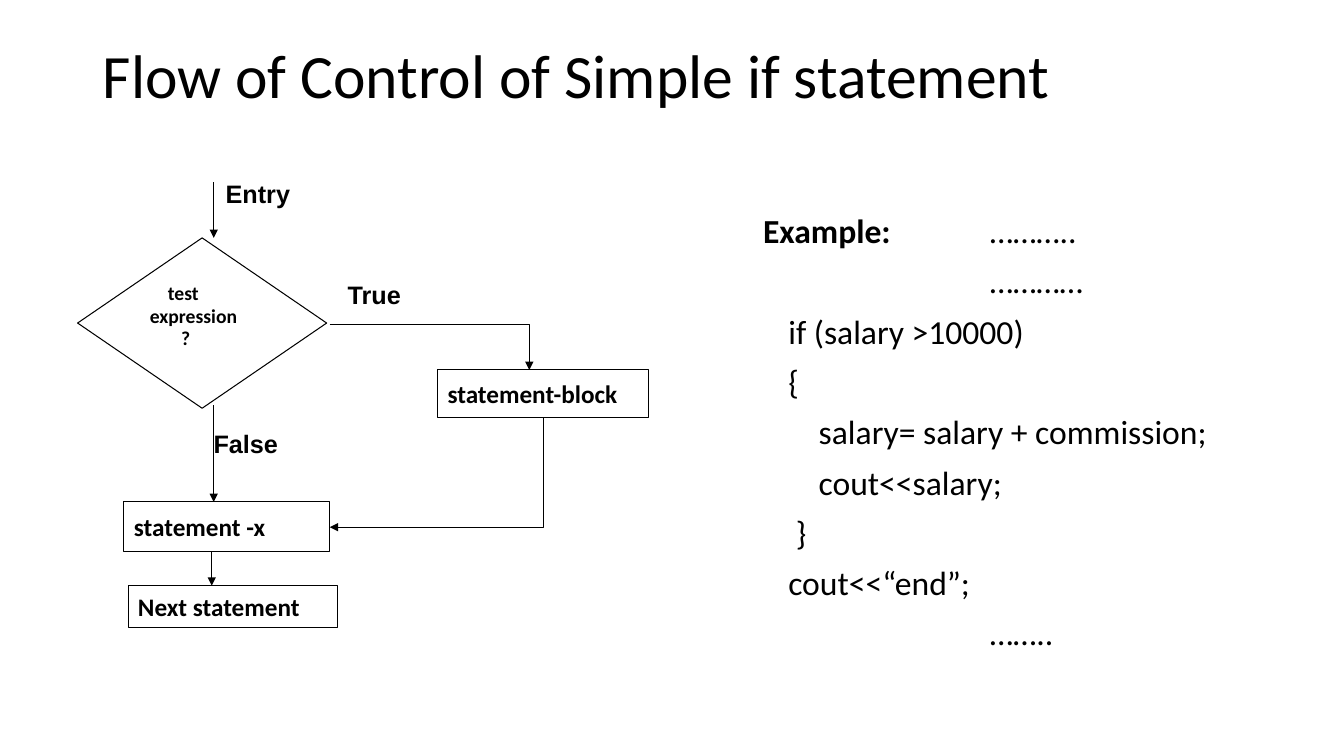
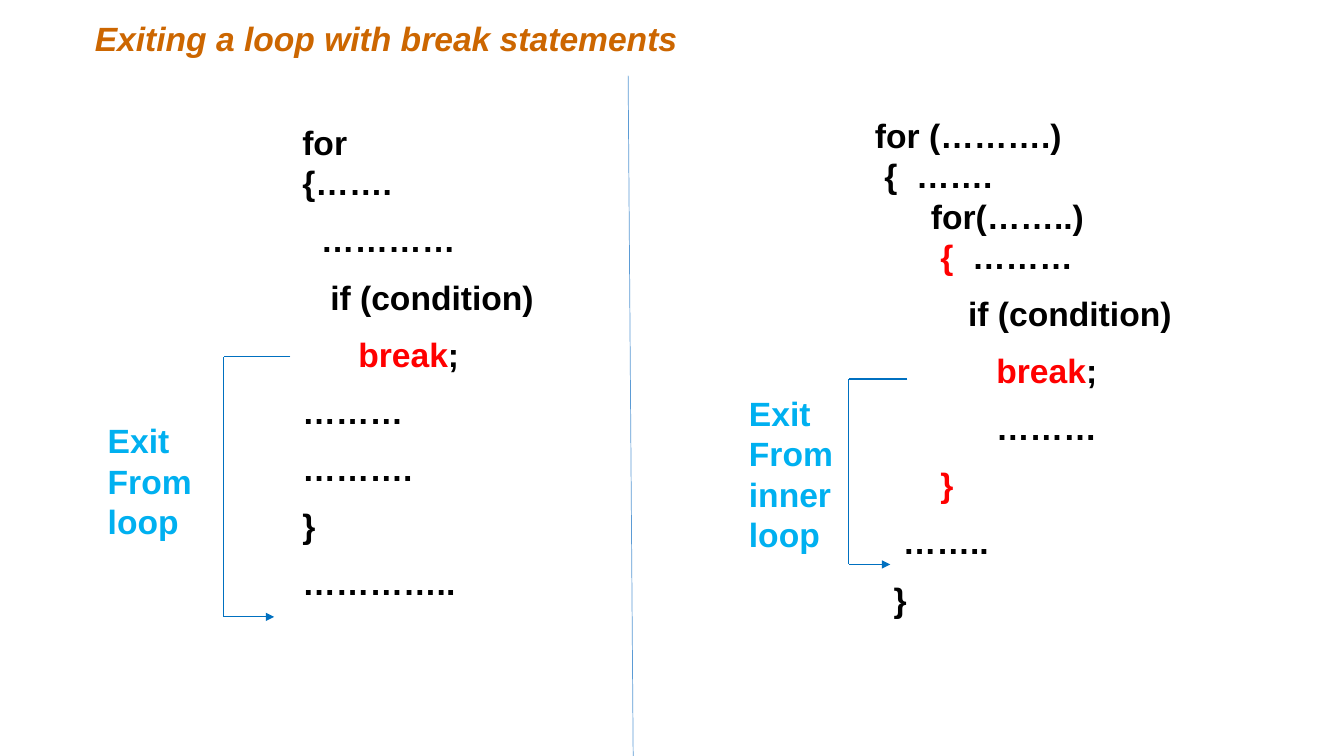
from dataclasses import dataclass

from lxml import etree
from pptx import Presentation
from pptx.dml.color import RGBColor
from pptx.enum.shapes import MSO_CONNECTOR, MSO_SHAPE
from pptx.enum.text import MSO_ANCHOR, MSO_AUTO_SIZE, PP_ALIGN
from pptx.oxml.ns import qn
from pptx.util import Inches, Pt

STRAIGHT, ELBOW = MSO_CONNECTOR.STRAIGHT, MSO_CONNECTOR.ELBOW
DECISION, PROCESS = MSO_SHAPE.FLOWCHART_DECISION, MSO_SHAPE.FLOWCHART_PROCESS
RECT = MSO_SHAPE.RECTANGLE
TOP, MIDDLE = MSO_ANCHOR.TOP, MSO_ANCHOR.MIDDLE
LEFT = PP_ALIGN.LEFT
NO_FIT = MSO_AUTO_SIZE.NONE
TITLE_ONLY = 5


@dataclass(frozen=True)
class Theme:
    ink: str = "000000"
    paper: str = "FFFFFF"
    heading: str = "CC6600"
    keyword: str = "FF0000"
    note: str = "00B0F0"
    bracket: str = "0070C0"
    divider: str = "5B9BD5"
    body: str = "Calibri"
    label: str = "Arial"
    title_size: int = 44
    code_size: int = 24
    label_size: int = 18
    small_size: int = 14
    line: float = 0.75
    hairline: float = 0.5


T = Theme()


def set_all(obj, values):
    for name, value in values.items():
        setattr(obj, name, value)


def add_run(p, text, size, font, color=T.ink, bold=False, italic=False):
    r = p.add_run()
    r.text = text
    set_all(r.font, {"size": Pt(size), "name": font, "bold": bold, "italic": italic})
    r.font.color.rgb = RGBColor.from_string(color)


def indent(p, margin, first=0):
    pPr = p._p.get_or_add_pPr()
    pPr.set("marL", str(Inches(margin)))
    pPr.set("indent", str(Inches(first)))


def paragraphs(tf, count):
    return [tf.paragraphs[0]] + [tf.add_paragraph() for _ in range(count - 1)]


def frame(sp, anchor=TOP):
    tf = sp.text_frame
    set_all(tf, {"word_wrap": True, "vertical_anchor": anchor, "auto_size": NO_FIT})
    return tf


def text_box(shapes, x, y, w, h):
    return frame(shapes.add_textbox(Inches(x), Inches(y), Inches(w), Inches(h)))


def add_title(s, text, box, size, font, **style):
    sp = s.shapes.title
    set_all(sp, dict(zip(("left", "top", "width", "height"), map(Inches, box))))
    p = frame(sp).paragraphs[0]
    p.alignment = LEFT
    add_run(p, text, size, font, **style)
    return p


def add_line(shapes, start, end, color=T.ink, width=T.line, arrow=False, kind=STRAIGHT):
    c = shapes.add_connector(kind, *map(Inches, (*start, *end)))
    c.line.color.rgb = RGBColor.from_string(color)
    c.line.width = Pt(width)
    if arrow:
        etree.SubElement(c.line._get_or_add_ln(), qn("a:tailEnd"), type="triangle")
    etree.SubElement(c._element.spPr, qn("a:effectLst"))
    return c


def add_elbow(shapes, start, end, down_first=False):
    (x1, y1), (x2, y2) = start, end
    if down_first:
        cx, cy = (x1 + x2) / 2, (y1 + y2) / 2
        w, h = abs(y2 - y1), abs(x2 - x1)
        start, end = (cx - w / 2, cy - h / 2), (cx + w / 2, cy + h / 2)
    c = add_line(shapes, start, end, arrow=True, kind=ELBOW)
    spPr = c._element.spPr
    spPr.find(qn("a:prstGeom")).set("prst", "bentConnector2")
    if down_first:
        spPr.find(qn("a:xfrm")).set("rot", "5400000")


def add_node(shapes, kind, x, y, w, h, anchor=MIDDLE):
    sp = shapes.add_shape(kind, Inches(x), Inches(y), Inches(w), Inches(h))
    sp.shadow.inherit = False
    sp.fill.solid()
    sp.fill.fore_color.rgb = RGBColor.from_string(T.paper)
    sp.line.color.rgb = RGBColor.from_string(T.ink)
    sp.line.width = Pt(T.line)
    return frame(sp, anchor)


def flowchart(s, x, y):
    shapes = s.shapes

    def at(dx, dy):
        return x + dx, y + dy

    tf = add_node(shapes, DECISION, *at(0, 0.64), 2.47, 1.69, TOP)
    words = (("test", 0.18), ("expression", 0), ("?", 0.31))
    for i, (p, (word, margin)) in enumerate(zip(paragraphs(tf, 3), words)):
        indent(p, margin)
        set_all(p, {"alignment": LEFT, "line_spacing": 0.8})
        if i:
            p.space_before = Pt(2.8)
        add_run(p, word, T.small_size, T.body, bold=True)

    for kind, text, dx, dy, w, h in (
        (PROCESS, "statement-block", 3.57, 1.95, 2.09, 0.47),
        (PROCESS, "statement -x", 0.46, 3.26, 2.04, 0.49),
        (RECT, "Next statement", 0.5, 4.09, 2.08, 0.42),
    ):
        p = add_node(shapes, kind, *at(dx, dy), w, h).paragraphs[0]
        p.alignment = LEFT
        add_run(p, text, T.label_size, T.body, bold=True)

    for dx, top, bottom in ((1.35, 0.09, 0.64), (1.35, 2.3, 3.26), (1.33, 3.75, 4.09)):
        add_line(shapes, at(dx, top), at(dx, bottom), arrow=True)
    add_elbow(shapes, at(2.5, 1.5), at(4.48, 1.95))
    add_elbow(shapes, at(4.62, 2.42), at(2.5, 3.51), down_first=True)

    for text, dx, dy in (("Entry", 1.37, 0), ("True", 2.58, 1), ("False", 1.25, 2.48)):
        tf = text_box(shapes, *at(dx, dy), 0.89, 0.4)
        add_run(tf.paragraphs[0], text, T.label_size, T.label, bold=True)


def example_code(s, x, y, w, h):
    code, dots = 0.25, 2.25
    lines = (
        ("\t………..", dots),
        ("…………", dots),
        ("if (salary >10000)", code),
        ("{", code),
        ("    salary= salary + commission;", code),
        ("    cout<<salary;", code),
        (" }", code),
        ("cout<<“end”;", code),
        ("……..", dots),
    )
    tf = text_box(s.shapes, x, y, w, h)
    for i, (p, (text, margin)) in enumerate(zip(paragraphs(tf, len(lines)), lines)):
        indent(p, margin, 0 if i else -margin)
        p.line_spacing = 0.9
        if i:
            p.space_before = Pt(10)
        else:
            add_run(p, "Example:", T.code_size, T.body, bold=True)
        add_run(p, text, T.code_size, T.body)


def break_panel(s, x, y, code_box, lines, tight, note, note_y, bracket):
    dx, w, h = code_box
    tf = text_box(s.shapes, x + dx, y, w, h)
    for i, (p, runs) in enumerate(zip(paragraphs(tf, len(lines)), lines)):
        if i >= tight:
            p.space_before = Pt(T.code_size / 2)
        for j, text in enumerate(runs):
            color = T.keyword if j == 1 else T.ink
            add_run(p, text, T.code_size, T.label, color, bold=True)

    shapes = s.shapes.add_group_shape().shapes
    bx, top, bottom, upper, lower = bracket
    bx, top, bottom = x + bx, y + top, y + bottom
    for start, end, arrow in (
        ((bx + upper, top), (bx, top), False),
        ((bx, top), (bx, bottom), False),
        ((bx, bottom), (bx + lower, bottom), True),
    ):
        add_line(shapes, start, end, T.bracket, arrow=arrow)
    tf = text_box(shapes, x, y + note_y, 1.1, 0.1 + 0.4 * len(note))
    for p, word in zip(paragraphs(tf, len(note)), note):
        add_run(p, word, T.code_size, T.label, T.note, bold=True)


def if_slide(s):
    p = add_title(s, "Flow of Control of Simple if statement",
                  (0.92, 0.4, 11.5, 1.45), T.title_size, T.body)
    p.line_spacing = 0.9
    flowchart(s, 0.77, 1.72)
    example_code(s, 7.47, 2.08, 5.62, 4.23)


def break_slide(s):
    add_title(s, "Exiting a loop with break statements", (0.84, 0.13, 9.42, 1.25),
              T.code_size, T.label, color=T.heading, bold=True, italic=True)
    single = (
        ("for",),
        ("{…….",),
        ("  …………",),
        ("   if (condition)",),
        ("      ", "break", ";"),
        ("………",),
        ("……….",),
        ("}",),
        ("…………..",),
    )
    nested = (
        ("for (……….)",),
        (" {  …….",),
        ("      for(……..)",),
        ("       ", "{  ", "………"),
        ("          if (condition)",),
        ("             ", "break", ";"),
        ("             ………",),
        ("       ", "}"),
        ("   ……..",),
        ("  }",),
    )
    break_panel(s, 0.97, 1.16, (1.93, 2.92, 5.35), single, 2,
                ("Exit", "From", "loop"), 2.96, (1.25, 2.38, 4.96, 0.66, 0.5))
    break_panel(s, 7.33, 1.09, (1.25, 3.53, 5.35), nested, 4,
                ("Exit", "From", "inner", "loop"), 2.76, (1.09, 2.67, 4.51, 0.58, 0.41))
    add_line(s.shapes, (6.23, 0.75), (6.28, 7.5), T.divider, T.hairline)


def main():
    prs = Presentation()
    prs.slide_width, prs.slide_height = Inches(13.33), Inches(7.5)
    for build in (if_slide, break_slide):
        build(prs.slides.add_slide(prs.slide_layouts[TITLE_ONLY]))
    prs.save("out.pptx")


if __name__ == "__main__":
    main()
